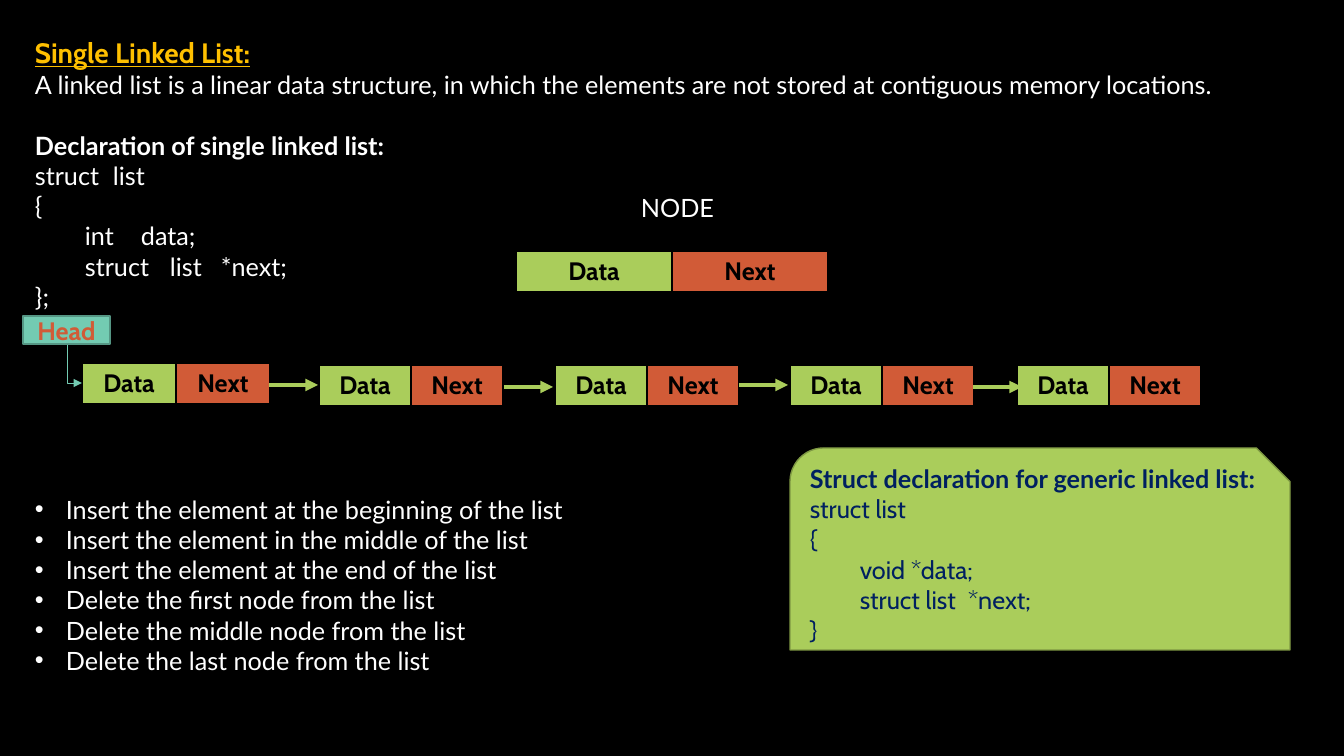
"""Build a slide that explains the single linked list."""
from lxml import etree
from pptx import Presentation
from pptx.dml.color import RGBColor
from pptx.enum.shapes import MSO_CONNECTOR, MSO_SHAPE
from pptx.enum.text import MSO_ANCHOR, PP_ALIGN
from pptx.oxml.ns import qn
from pptx.util import Pt

PX = 9071
STRAIGHT, ELBOW = MSO_CONNECTOR.STRAIGHT, MSO_CONNECTOR.ELBOW
RECT, SNIP_ROUND = MSO_SHAPE.RECTANGLE, MSO_SHAPE.SNIP_ROUND_RECTANGLE
MIDDLE = MSO_ANCHOR.MIDDLE
LEFT, CENTER = PP_ALIGN.LEFT, PP_ALIGN.CENTER
THEME = {
    "black": RGBColor.from_string("000000"),
    "white": RGBColor.from_string("FFFFFF"),
    "gold": RGBColor.from_string("FFC000"),
    "green": RGBColor.from_string("AACD5B"),
    "olive": RGBColor.from_string("7E9843"),
    "orange": RGBColor.from_string("D15B37"),
    "teal": RGBColor.from_string("73CBB2"),
    "dark_teal": RGBColor.from_string("559684"),
    "navy": RGBColor.from_string("002060"),
    "heading": "Cabin",
    "body": "Lato",
    "title_size": 20,
    "size": 18,
}


def add_line(tf, text, color, font="body", size="size", bold=False, align=LEFT, tabs=()):
    p = tf.paragraphs[0]
    if p.runs:
        p = tf.add_paragraph()
    p.alignment = align
    r = p.add_run()
    r.text = text
    r.font.name = THEME[font]
    r.font.size = Pt(THEME[size])
    r.font.bold = bold
    r.font.color.rgb = THEME[color]
    if tabs:
        tab_list = etree.SubElement(p._p.get_or_add_pPr(), qn("a:tabLst"))
        for pos in tabs:
            etree.SubElement(tab_list, qn("a:tab"), pos=str(pos * PX), algn="l")
    return p


def add_arrow(kind, x1, y1, x2, y2, color, width):
    arrow = s.shapes.add_connector(kind, x1 * PX, y1 * PX, x2 * PX, y2 * PX)
    arrow.line.color.rgb = THEME[color]
    arrow.line.width = Pt(width)
    etree.SubElement(arrow.line._get_or_add_ln(), qn("a:tailEnd"), type="triangle")
    etree.SubElement(arrow._element.spPr, qn("a:effectLst"))
    return arrow


prs = Presentation()
prs.slide_width, prs.slide_height = 1344 * PX, 756 * PX
s = prs.slides.add_slide(prs.slide_layouts[6])
s.background.fill.solid()
s.background.fill.fore_color.rgb = THEME["black"]

tf = s.shapes.add_textbox(25 * PX, 31 * PX, 1297 * PX, 290 * PX).text_frame
tf.word_wrap = True
p = add_line(tf, "Single Linked List:", "gold", "heading", "title_size", True)
p.runs[0].font.underline = True
add_line(tf, "A linked list is a linear data structure, in which the elements "
             "are not stored at contiguous memory locations.", "white")
p = add_line(tf, "Declaration of single linked list:", "white", bold=True)
p.space_before = Pt(21.6)
for text, tabs in [
    ("struct\tlist", (78,)),
    ("{", ()),
    ("\tint\tdata;", (50, 106)),
    ("\tstruct\tlist\t*next;", (50, 135, 186)),
    ("};", ()),
]:
    add_line(tf, text, "white", tabs=tabs)

tf = s.shapes.add_textbox(631 * PX, 187 * PX, 100 * PX, 40 * PX).text_frame
tf.word_wrap = True
add_line(tf, "NODE", "white")

tf = s.shapes.add_textbox(25 * PX, 489 * PX, 700 * PX, 192 * PX).text_frame
tf.word_wrap = True
for operation in [
    "Insert the element at the beginning of the list",
    "Insert the element in the middle of the list",
    "Insert the element at the end of the list",
    "Delete the first node from the list",
    "Delete the middle node from the list",
    "Delete the last node from the list",
]:
    pPr = add_line(tf, operation, "white")._p.get_or_add_pPr()
    pPr.set("marL", str(31 * PX))
    pPr.set("indent", str(-31 * PX))
    etree.SubElement(pPr, qn("a:buFont"), typeface="Arial")
    etree.SubElement(pPr, qn("a:buChar"), char="•")

for left, top, cell_width in [
    (516, 251, 156),
    (82, 363, 94),
    (319, 365, 92),
    (555, 365, 92),
    (790, 365, 92),
    (1017, 365, 92),
]:
    node = s.shapes.add_table(1, 2, left * PX, top * PX, 2 * cell_width * PX, 40 * PX).table
    node.first_row = node.horz_banding = False
    for cell, text, fill in zip(node.iter_cells(), ("Data", "Next"), ("green", "orange")):
        add_line(cell.text_frame, text, "black", "heading", bold=True, align=CENTER)
        tcPr = cell._tc.get_or_add_tcPr()
        for side in ("a:lnL", "a:lnR", "a:lnT", "a:lnB"):
            border = etree.SubElement(tcPr, qn(side), w=str(Pt(1)))
            paint = etree.SubElement(border, qn("a:solidFill"))
            etree.SubElement(paint, qn("a:srgbClr"), val=str(THEME["black"]))
        cell.fill.solid()
        cell.fill.fore_color.rgb = THEME[fill]

for x, y in [(269, 385), (504, 387), (739, 385), (973, 387)]:
    add_arrow(STRAIGHT, x, y, x + 49, y, "green", 3)

head_arrow = add_arrow(ELBOW, 94, 356, 55, 371, "teal", 0.5)
head_arrow._element.spPr.find(qn("a:xfrm")).set("rot", "16200000")
head_arrow._element.spPr.find(qn("a:prstGeom")).set("prst", "bentConnector2")

panels = []
for kind, left, top, width, height, fill, line in [
    (RECT, 23, 316, 87, 28, "teal", "dark_teal"),
    (SNIP_ROUND, 790, 448, 500, 202, "green", "olive"),
]:
    sp = s.shapes.add_shape(kind, left * PX, top * PX, width * PX, height * PX)
    sp.shadow.inherit = False
    sp.fill.solid()
    sp.fill.fore_color.rgb = THEME[fill]
    sp.line.color.rgb = THEME[line]
    sp.line.width = Pt(1)
    sp.text_frame.word_wrap = True
    sp.text_frame.vertical_anchor = MIDDLE
    panels.append(sp.text_frame)

head, generic = panels
add_line(head, "Head", "orange", "heading", bold=True, align=CENTER)
add_line(generic, "Struct declaration for generic linked list:", "navy", bold=True)
for text, tabs in [
    ("struct list", ()),
    ("{", ()),
    ("\tvoid *data;", (50,)),
    ("\tstruct list\t*next;", (50, 158)),
    ("}", ()),
]:
    add_line(generic, text, "navy", "heading", tabs=tabs)

prs.save("out.pptx")
